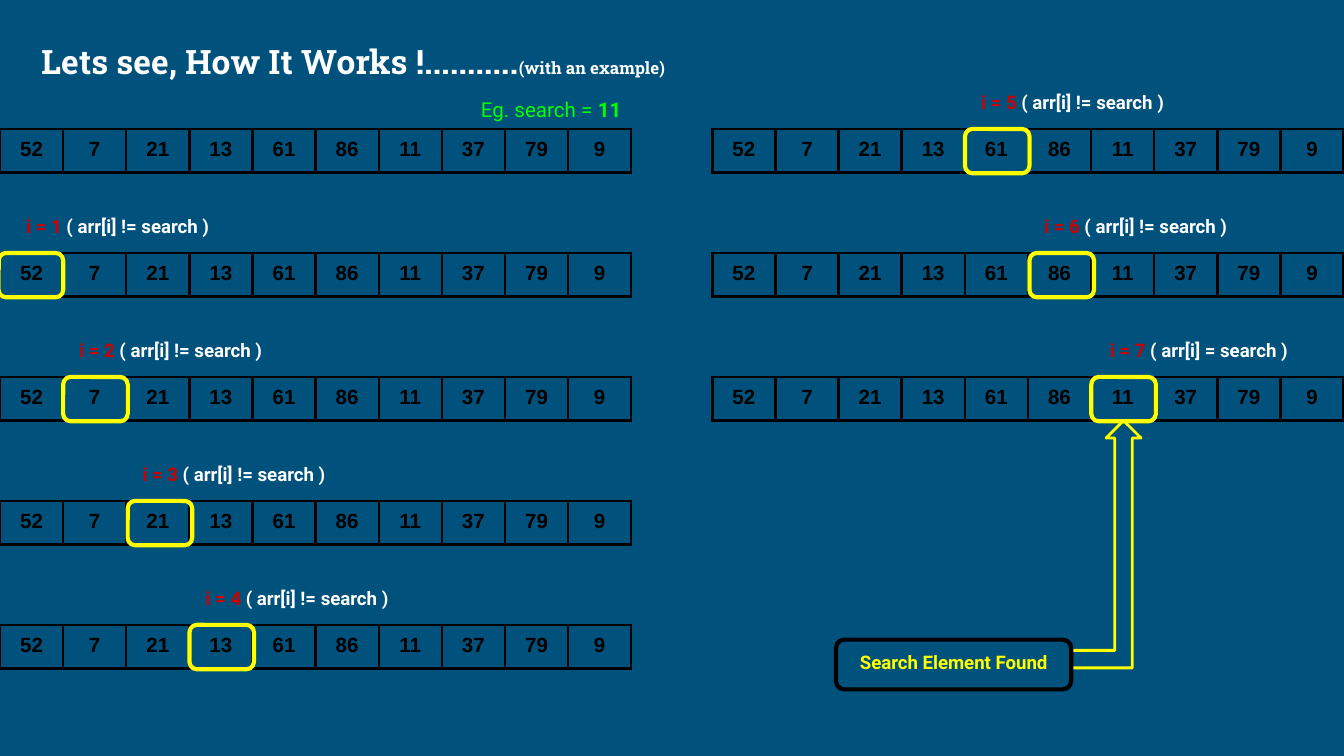
"""Build a slide that walks through a linear search step by step."""
from dataclasses import dataclass

from lxml import etree
from pptx import Presentation
from pptx import util as u
from pptx.dml.color import RGBColor
from pptx.enum import shapes, text
from pptx.oxml import ns

VALUES = (52, 7, 21, 13, 61, 86, 11, 37, 79, 9)
CELL_WIDTH = 0.47
CELL_HEIGHT = 0.32
LEFT_ARRAY, RIGHT_ARRAY = 0, 5.3
FIRST_TOP, LAST_TOP = 0.96, 4.65
ROW_GAP = (LAST_TOP - FIRST_TOP) / 4
NAVY, WHITE, BLACK = "00517C", "FFFFFF", "000000"
YELLOW, RED, GREEN = "FFFF00", "CC0000", "00FF00"


@dataclass(frozen=True)
class Step:
    """One comparison: its index, array position and result."""
    index: int
    array_left: float
    row: int
    operator: str = "!="
    label_width: float = 1.6
    marker_shift: float = 0


@dataclass(frozen=True)
class Span:
    """A run of text with its format."""
    words: str
    size: float
    color: str
    bold: bool = True


STEPS = (
    Step(1, LEFT_ARRAY, 1, label_width=1.75, marker_shift=-0.01),
    Step(2, LEFT_ARRAY, 2),
    Step(3, LEFT_ARRAY, 3, marker_shift=0.01),
    Step(4, LEFT_ARRAY, 4),
    Step(5, RIGHT_ARRAY, 0),
    Step(6, RIGHT_ARRAY, 1, marker_shift=0.01),
    Step(7, RIGHT_ARRAY, 2, operator="="),
)


def rgb(color: str) -> RGBColor:
    """Turn a hex string into a colour."""
    return RGBColor.from_string(color)


def write(frame, *spans: Span, font="Roboto", align=text.PP_ALIGN.LEFT,
          anchor=text.MSO_ANCHOR.TOP) -> None:
    """Fill a text frame with one paragraph of formatted spans."""
    frame.word_wrap = True
    frame.vertical_anchor = anchor
    para = frame.paragraphs[0]
    para.alignment = align
    for span in spans:
        run = para.add_run()
        run.text = span.words
        run.font.name = font
        run.font.size = u.Pt(span.size)
        run.font.bold = span.bold
        run.font.color.rgb = rgb(span.color)


def add_text(page, left: float, top: float, width: float, height: float,
             *spans: Span, **style) -> None:
    """Add a text box with even margins."""
    box = page.shapes.add_textbox(*map(u.Inches, (left, top, width, height)))
    frame = box.text_frame
    frame.margin_left = frame.margin_right = u.Inches(0.1)
    frame.margin_top = frame.margin_bottom = u.Inches(0.1)
    write(frame, *spans, **style)


def add_outline(page, kind, left: float, top: float, width: float, height: float,
                color: str, weight: float) -> None:
    """Add an unfilled preset shape."""
    shape = page.shapes.add_shape(kind, *map(u.Inches, (left, top, width, height)))
    shape.shadow.inherit = False
    shape.fill.background()
    shape.line.color.rgb = rgb(color)
    shape.line.width = u.Pt(weight)


def add_borders(cell, color: str, weight: float) -> None:
    """Draw a solid border on all four sides of a cell."""
    properties = cell._tc.get_or_add_tcPr()
    for position, side in enumerate(("a:lnL", "a:lnR", "a:lnT", "a:lnB")):
        line = etree.Element(ns.qn(side), w=str(u.Pt(weight)))
        fill = etree.SubElement(line, ns.qn("a:solidFill"))
        etree.SubElement(fill, ns.qn("a:srgbClr"), val=color)
        properties.insert(position, line)


def add_array(page, left: float, top: float) -> None:
    """Add the array as a table of one row."""
    size = (left, top, CELL_WIDTH * len(VALUES), CELL_HEIGHT)
    table = page.shapes.add_table(1, len(VALUES), *map(u.Inches, size)).table
    table.first_row = table.horz_banding = False
    for column, value in enumerate(VALUES):
        table.columns[column].width = u.Inches(CELL_WIDTH)
        cell = table.cell(0, column)
        cell.margin_left = cell.margin_right = u.Inches(0.07)
        cell.margin_top = cell.margin_bottom = u.Inches(0.07)
        cell.fill.background()
        add_borders(cell, BLACK, 1.5)
        write(cell.text_frame, Span(str(value), 11, BLACK), font="Arial",
              align=text.PP_ALIGN.CENTER)


def add_step(page, step: Step) -> None:
    """Add the array of a step, its label and the marker on its cell."""
    top = FIRST_TOP + step.row * ROW_GAP
    left = step.array_left + (step.index - 1) * CELL_WIDTH
    add_array(page, step.array_left, top)
    add_text(page, left, top - 0.37, step.label_width, 0.37,
             Span(f"i = {step.index} ", 10, RED),
             Span(f"( arr[i] {step.operator} search )", 10, WHITE),
             align=text.PP_ALIGN.CENTER)
    add_outline(page, shapes.MSO_SHAPE.ROUNDED_RECTANGLE, left + step.marker_shift, top,
                0.48, 0.33, YELLOW, 2.25)


def build() -> None:
    """Build the deck and save it."""
    deck = Presentation()
    deck.slide_width = u.Inches(10)
    deck.slide_height = u.Inches(10 * 9 / 16)
    page = deck.slides.add_slide(deck.slide_layouts[6])
    page.background.fill.solid()
    page.background.fill.fore_color.rgb = rgb(NAVY)

    add_text(page, 0.21, 0.17, 5.09, 0.57,
             Span("Lets see, How It Works !...........", 18, WHITE),
             Span("(with an example)", 9, WHITE),
             font="Roboto Slab", anchor=text.MSO_ANCHOR.MIDDLE)
    add_text(page, 3.48, 0.63, 1.41, 0.39,
             Span("Eg. search =", 11, GREEN, bold=False), Span(" 11", 11, GREEN))
    add_array(page, LEFT_ARRAY, FIRST_TOP)
    for step in STEPS:
        add_step(page, step)

    add_outline(page, shapes.MSO_SHAPE.BENT_UP_ARROW, 7.97, 3.13, 0.52, 1.84, YELLOW, 1.5)
    add_text(page, 6.24, 4.76, 1.71, 0.37, Span("Search Element Found", 10, YELLOW),
             align=text.PP_ALIGN.CENTER)
    add_outline(page, shapes.MSO_SHAPE.ROUNDED_RECTANGLE, 6.22, 4.76, 1.75, 0.37,
                BLACK, 2.25)
    deck.save("out.pptx")


build()
